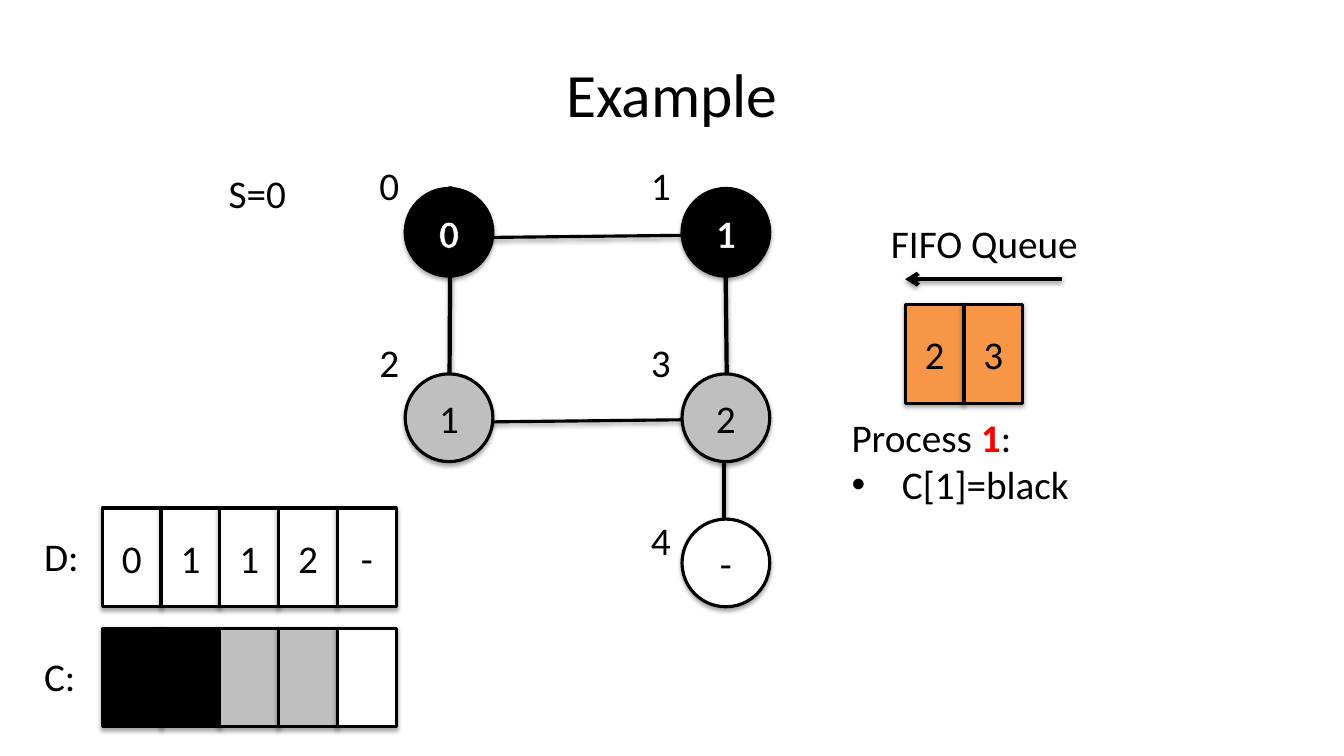
import pptx
import pptx.util
import pptx.dml.color
import pptx.enum.shapes
import pptx.enum.text
import pptx.oxml
import pptx.oxml.ns
import lxml.etree

COLUMNS, ROWS = 160, 90
UNIT = pptx.util.Inches(1) / 12
FONT = "Calibri"
COLORS = {"black": "000000", "white": "FFFFFF", "gray": "BFBFBF",
          "orange": "F79646", "red": "FF0000"}
NODE_SIZE = 10.44
CELL_WIDTH, CELL_HEIGHT = 7, 11.76
LABEL_WIDTH, LABEL_HEIGHT = 4.8, 6.84
ALIGN = pptx.enum.text.PP_ALIGN
ANCHOR = pptx.enum.text.MSO_ANCHOR
PRESET = pptx.enum.shapes.MSO_SHAPE


def grid(*values):
    return [round(value * UNIT) for value in values]


def rgb(name):
    return pptx.dml.color.RGBColor.from_string(COLORS[name])


def child(parent, tag, **attributes):
    return lxml.etree.SubElement(parent, pptx.oxml.ns.qn(tag),
                                 {key: str(value) for key, value in attributes.items()})


def add_shadow(effects, distance, opacity):
    shadow = child(effects, "a:outerShdw", blurRad=40000, dist=distance,
                   dir=5400000, rotWithShape=0)
    color = child(shadow, "a:srgbClr", val=COLORS["black"])
    child(color, "a:alpha", val=opacity * 1000)


def write(paragraph, text, size=28, color="black", bold=False, align=None, outline=False):
    if align is not None:
        paragraph.alignment = align
    run = paragraph.add_run()
    run.text = text
    run.font.name = FONT
    run.font.size = pptx.util.Pt(size)
    run.font.bold = bold
    run.font.color.rgb = rgb(color)
    if outline:
        line = pptx.oxml.parse_xml(
            f'<a:ln {pptx.oxml.ns.nsdecls("a")} w="9525"><a:solidFill>'
            f'<a:srgbClr val="{COLORS["black"]}"/></a:solidFill></a:ln>')
        run.font._element.insert(0, line)


def add_text_box(shapes, box, wrap=False, fit=True):
    frame = shapes.add_textbox(*grid(*box)).text_frame
    frame.word_wrap = wrap
    if fit:
        frame.auto_size = pptx.enum.text.MSO_AUTO_SIZE.SHAPE_TO_FIT_TEXT
    return frame


def add_label(shapes, box, text):
    write(add_text_box(shapes, box).paragraphs[0], text)


def add_outlined_shape(shapes, preset, box, fill, text="", **text_format):
    shape = shapes.add_shape(preset, *grid(*box))
    shape.fill.solid()
    shape.fill.fore_color.rgb = rgb(fill)
    shape.line.color.rgb = rgb("black")
    shape.line.width = pptx.util.Pt(2.25)
    shape.shadow.inherit = False
    effects = shape._element.spPr.find(pptx.oxml.ns.qn("a:effectLst"))
    add_shadow(effects, 23000, 35)
    if text:
        shape.text_frame.vertical_anchor = ANCHOR.MIDDLE
        write(shape.text_frame.paragraphs[0], text, align=ALIGN.CENTER, **text_format)


def add_line(shapes, start, end, width, arrow=False):
    connector = shapes.add_connector(
        pptx.enum.shapes.MSO_CONNECTOR.STRAIGHT, *grid(*start, *end))
    connector.line.color.rgb = rgb("black")
    connector.line.width = pptx.util.Pt(width)
    if arrow:
        child(connector.line._get_or_add_ln(), "a:tailEnd", type="arrow")
    add_shadow(child(connector._element.spPr, "a:effectLst"), 20000, 38)


def add_cells(shapes, left, top, cells):
    for index, (text, fill) in enumerate(cells):
        box = (left + index * CELL_WIDTH, top, CELL_WIDTH, CELL_HEIGHT)
        add_outlined_shape(shapes, PRESET.RECTANGLE, box, fill, text)


def add_title(shapes, box):
    frame = add_text_box(shapes, box, wrap=True, fit=False)
    frame.vertical_anchor = ANCHOR.MIDDLE
    write(frame.paragraphs[0], "Example", size=44, align=ALIGN.CENTER)


def add_graph(shapes, left, top):
    edges = [((42.28, 3.96), (42.52, 25.92), 3), ((9.64, 3.6), (9.52, 25.92), 3),
             ((9.64, 9.72), (42.28, 9.36), 2.25), ((9.64, 31.68), (42.28, 31.32), 2.25),
             ((42.22, 31.32), (42.22, 48.36), 3)]
    for (start_x, start_y), (end_x, end_y), width in edges:
        add_line(shapes, (left + start_x, top + start_y), (left + end_x, top + end_y), width)
    nodes = [(0, 0, "0", "black"), (1, 0, "1", "black"), (0, 1, "1", "gray"),
             (1, 1, "2", "gray"), (1, 2, "-", "white")]
    node_lefts, node_tops = (4.24, 37.2), (3.84, 25.92, 43.2)
    label_lefts, label_step = (0, 32.3), 21.12
    for number, (column, row, distance, fill) in enumerate(nodes):
        visited = fill == "black"
        add_outlined_shape(
            shapes, PRESET.OVAL,
            (left + node_lefts[column], top + node_tops[row], NODE_SIZE, NODE_SIZE),
            fill, distance, color="white" if visited else "black",
            bold=visited, outline=True)
        add_label(shapes, (left + label_lefts[column], top + row * label_step,
                           LABEL_WIDTH, LABEL_HEIGHT), str(number))


def add_queue(shapes, left, top):
    add_label(shapes, (left, top, 24.96, LABEL_HEIGHT), "FIFO Queue")
    add_line(shapes, (left + 21.6, top + 7.68), (left + 2.88, top + 7.68), 3, arrow=True)
    add_cells(shapes, left + 2.88, top + 10.68, [("2", "orange"), ("3", "orange")])


def add_process(shapes, box):
    frame = add_text_box(shapes, box, wrap=True)
    heading, step = frame.paragraphs[0], frame.add_paragraph()
    write(heading, "Process ")
    write(heading, "1", color="red", bold=True)
    write(heading, ":")
    properties = step._p.get_or_add_pPr()
    properties.set("marL", "457200")
    properties.set("indent", "-457200")
    child(properties, "a:buFont", typeface="Arial")
    child(properties, "a:buChar", char="\u2022")
    write(step, "C[1]=black")


def add_arrays(shapes, left, top):
    distances = [(text, "white") for text in "0112-"]
    states = [("", fill) for fill in ("black", "black", "gray", "gray", "white")]
    for row, (name, cells) in enumerate([("D:", distances), ("C:", states)]):
        row_top = top + row * 14.3
        add_cells(shapes, left + 8.1, row_top, cells)
        add_label(shapes, (left, row_top + 2.34, 6.5, LABEL_HEIGHT), name)


presentation = pptx.Presentation()
presentation.slide_width, presentation.slide_height = grid(COLUMNS, ROWS)
slide = presentation.slides.add_slide(presentation.slide_layouts[6])
add_title(slide.shapes, (8, 3.6, 144, 15))
add_label(slide.shapes, (26.04, 19.56, 9.36, LABEL_HEIGHT), "S=0")
add_graph(slide.shapes.add_group_shape().shapes, 44, 18.6)
add_queue(slide.shapes, 104.88, 25.56)
add_process(slide.shapes, (100.2, 48.6, 42.84, 12.48))
add_arrays(slide.shapes.add_group_shape().shapes, 4.08, 60.48)
presentation.save("out.pptx")
